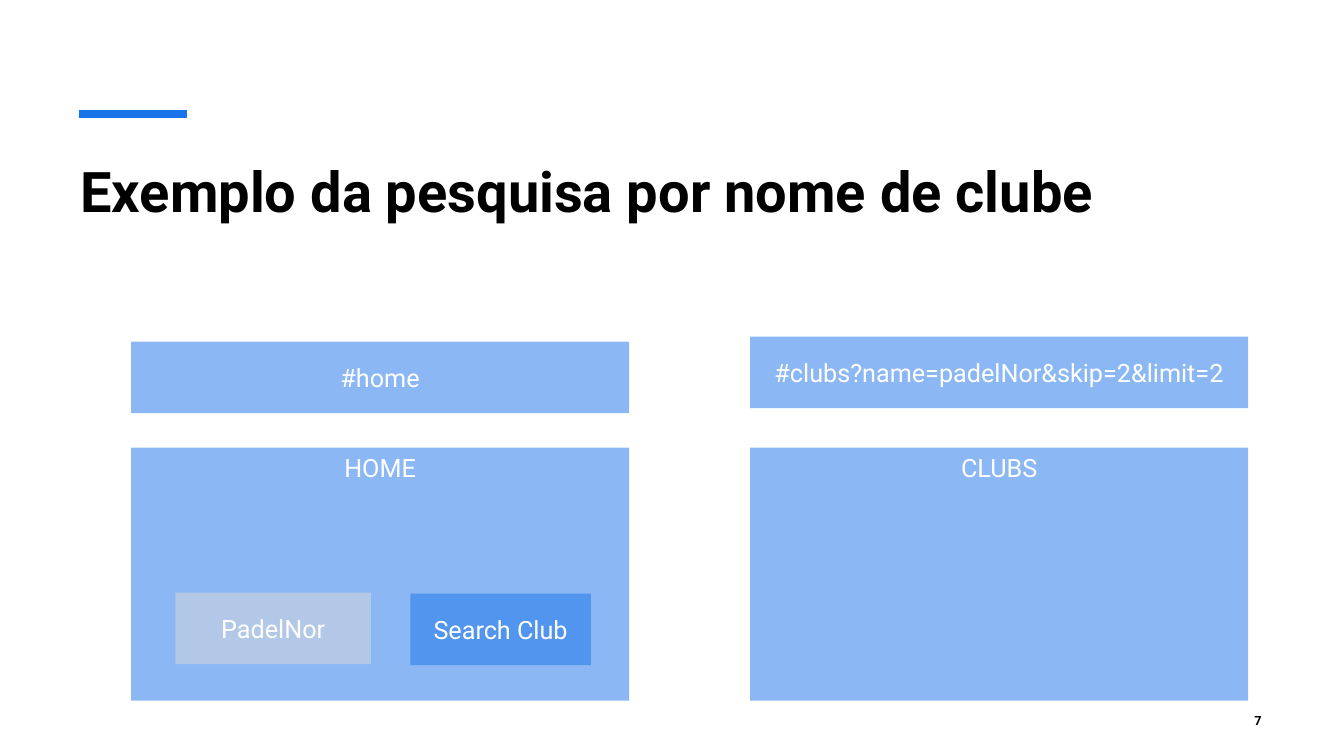
from lxml.etree import SubElement
from pptx import Presentation
from pptx.dml.color import RGBColor
from pptx.enum.shapes import MSO_CONNECTOR, MSO_SHAPE
from pptx.enum.text import MSO_ANCHOR, PP_ALIGN
from pptx.oxml.ns import qn
from pptx.util import Inches, Pt

COLORS = {"blue": "1973EB", "gray": "D9D9D9", "black": "000000", "white": "FFFFFF"}
PANEL_WIDTH = 4.94
BAR_HEIGHT = 0.71
PANEL_TOP, PANEL_HEIGHT = 4.44, 2.51


def color(name):
    return RGBColor.from_string(COLORS[name])


def write_text(shape, text, size=18, color_name="white", bold=False,
               align=PP_ALIGN.CENTER, anchor=MSO_ANCHOR.MIDDLE, spacing=None):
    """Fill a shape with one formatted paragraph; spacing is in hundredths of a point."""
    frame = shape.text_frame
    frame.word_wrap = True
    frame.vertical_anchor = anchor
    paragraph = frame.paragraphs[0]
    paragraph.alignment = align
    run = paragraph.add_run()
    run.text = text
    run.font.name = SlideBuilder.font
    run.font.size = Pt(size)
    run.font.bold = bold
    run.font.color.rgb = color(color_name)
    if spacing is not None:
        run.font._element.set("spc", str(spacing))


class SlideBuilder:
    font = "Roboto"
    opacity = 50

    def __init__(self, presentation):
        self.slide = presentation.slides.add_slide(presentation.slide_layouts[6])

    def line(self, left, right, top, width):
        connector = self.slide.shapes.add_connector(
            MSO_CONNECTOR.STRAIGHT, Inches(left), Inches(top), Inches(right), Inches(top))
        connector.line.color.rgb = color("blue")
        connector.line.width = Pt(width)
        SubElement(connector._element.spPr, qn("a:effectLst"))

    def text(self, text, left, top, width, height, **text_format):
        box = self.slide.shapes.add_textbox(
            Inches(left), Inches(top), Inches(width), Inches(height))
        write_text(box, text, color_name="black", bold=True, **text_format)

    def box(self, text, left, top, width=PANEL_WIDTH, height=BAR_HEIGHT,
            fill="blue", **text_format):
        """Add a translucent rectangle without an outline."""
        shape = self.slide.shapes.add_shape(
            MSO_SHAPE.RECTANGLE, Inches(left), Inches(top), Inches(width), Inches(height))
        shape.shadow.inherit = False
        shape.line.fill.background()
        shape.fill.solid()
        shape.fill.fore_color.rgb = color(fill)
        fill_color = shape._element.spPr.find(qn("a:solidFill"))[0]
        SubElement(fill_color, qn("a:alpha"), val=str(self.opacity * 1000))
        write_text(shape, text, **text_format)


def main():
    presentation = Presentation()
    presentation.slide_width = Inches(13.33)
    presentation.slide_height = Inches(7.5)
    builder = SlideBuilder(presentation)

    builder.line(0.78, 1.85, 1.13, width=6)
    builder.text("Exemplo da pesquisa por nome de clube", 0.7, 1.5, 11.91, 1.2,
                 size=40, align=PP_ALIGN.LEFT, anchor=MSO_ANCHOR.TOP)
    builder.text("7", 11.82, 6.95, 0.79, 0.4, size=9, align=PP_ALIGN.RIGHT, spacing=300)

    screens = [
        ("#home", "HOME", 1.3, 3.39),
        ("#clubs?name=padelNor&skip=2&limit=2", "CLUBS", 7.44, 3.34),
    ]
    for address, title, left, address_top in screens:
        builder.box(address, left, address_top)
        builder.box(title, left, PANEL_TOP, height=PANEL_HEIGHT, anchor=MSO_ANCHOR.TOP)

    builder.box("PadelNor", 1.74, 5.88, width=1.94, fill="gray")
    builder.box("Search Club", 4.07, 5.89, width=1.79)

    presentation.save("out.pptx")


if __name__ == "__main__":
    main()
